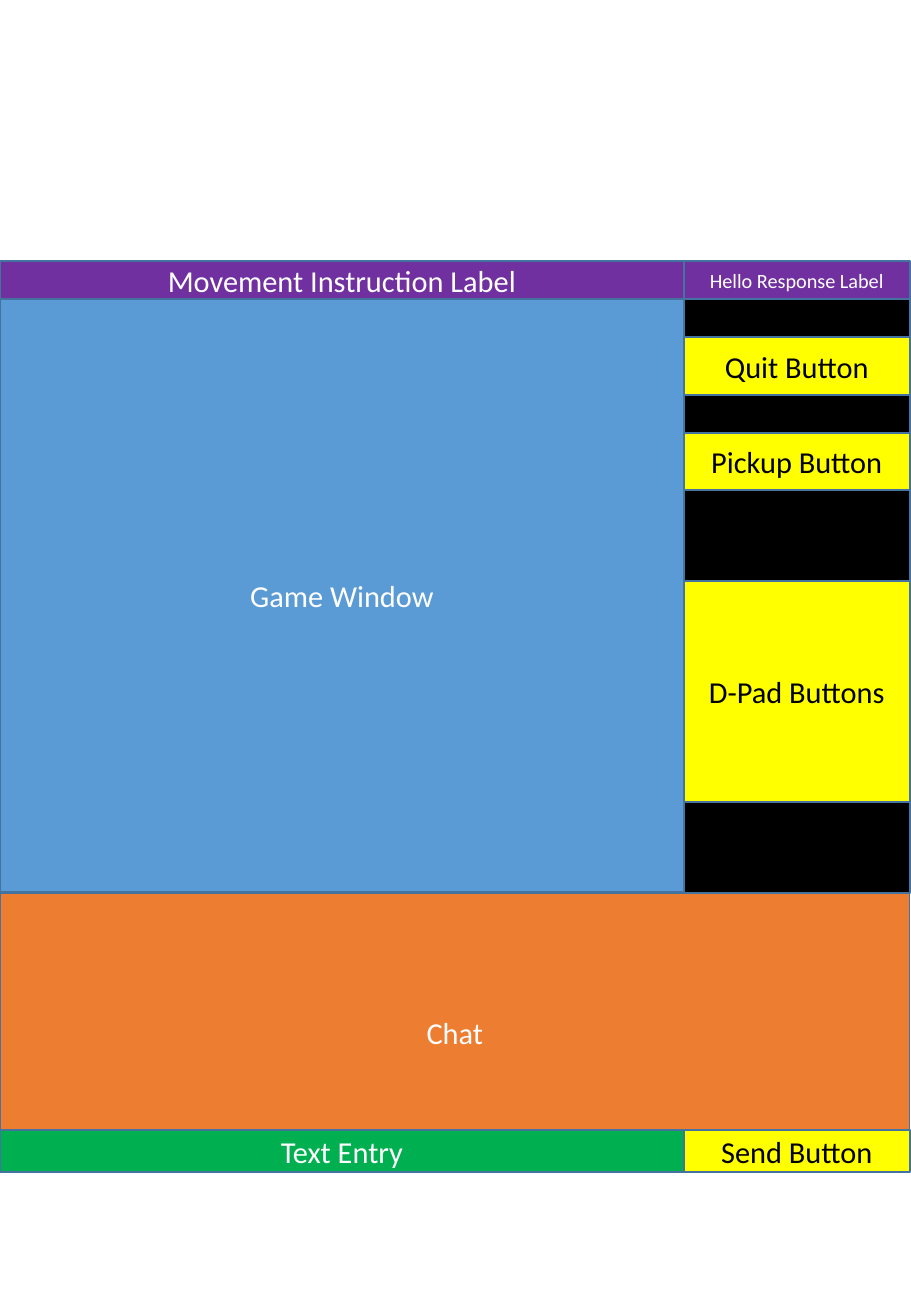
"""Build the game client screen layout slide."""
from pptx import Presentation
from pptx.dml.color import RGBColor
from pptx.enum.shapes import MSO_SHAPE
from pptx.enum.text import MSO_ANCHOR, PP_ALIGN
from pptx.util import Inches, Pt

RECTANGLE = MSO_SHAPE.RECTANGLE
MIDDLE = MSO_ANCHOR.MIDDLE
CENTER = PP_ALIGN.CENTER
BLANK_LAYOUT = 6

PIXEL = Inches(1) / 121.5
SLIDE_WIDTH, SLIDE_HEIGHT = Inches(7.5), Inches(10.83)

LEFT, SPLIT, RIGHT = 0, 684, 910
TOP, GAME_TOP, CHAT_TOP, ENTRY_TOP, BOTTOM = 261, 299, 893, 1130, 1172
MAIN, SIDE, FULL = (LEFT, SPLIT), (SPLIT, RIGHT), (LEFT, RIGHT)

WHITE, BLACK, YELLOW = "FFFFFF", "000000", "FFFF00"
BLUE, ORANGE, GREEN, PURPLE = "5B9BD5", "ED7D31", "00B050", "7030A0"
OUTLINE = "43739E"

PANELS = [
    ("", FULL, (TOP + 1, BOTTOM), BLUE),
    ("Game Window", MAIN, (GAME_TOP, CHAT_TOP - 1), BLUE),
    ("Chat", FULL, (CHAT_TOP, BOTTOM), ORANGE),
    ("", SIDE, (GAME_TOP, CHAT_TOP), BLACK),
    ("Text Entry", MAIN, (ENTRY_TOP, BOTTOM), GREEN),
    ("Send Button", SIDE, (ENTRY_TOP, BOTTOM), YELLOW),
    ("Movement Instruction Label", MAIN, (TOP, GAME_TOP), PURPLE),
    ("Hello Response Label", SIDE, (TOP, GAME_TOP), PURPLE),
    ("Quit Button", SIDE, (337, 395), YELLOW),
    ("Pickup Button", SIDE, (433, 490), YELLOW),
    ("D-Pad Buttons", SIDE, (581, 802), YELLOW),
]
SMALL_SIZES = {"Hello Response Label": 12}


def color(hex_string):
    return RGBColor.from_string(hex_string)


def emu(pixels):
    return round(pixels * PIXEL)


def write(shape, text, size=18, font_color=WHITE, font_name="Calibri"):
    frame = shape.text_frame
    frame.word_wrap = True
    frame.vertical_anchor = MIDDLE
    paragraph = frame.paragraphs[0]
    paragraph.alignment = CENTER
    run = paragraph.add_run()
    run.text = text
    run.font.name = font_name
    run.font.size = Pt(size)
    run.font.color.rgb = color(font_color)


def add_panel(shapes, columns, rows, fill):
    left, right = columns
    top, bottom = rows
    shape = shapes.add_shape(
        RECTANGLE, emu(left), emu(top), emu(right - left), emu(bottom - top))
    shape.shadow.inherit = False
    shape.fill.solid()
    shape.fill.fore_color.rgb = color(fill)
    shape.line.color.rgb = color(OUTLINE)
    shape.line.width = Pt(1)
    return shape


presentation = Presentation()
presentation.slide_width = SLIDE_WIDTH
presentation.slide_height = SLIDE_HEIGHT
slide = presentation.slides.add_slide(presentation.slide_layouts[BLANK_LAYOUT])
screen = slide.shapes.add_group_shape()

for label, columns, rows, fill in PANELS:
    panel = add_panel(screen.shapes, columns, rows, fill)
    if label:
        write(panel, label, size=SMALL_SIZES.get(label, 18),
              font_color=BLACK if fill == YELLOW else WHITE)

presentation.save("out.pptx")
